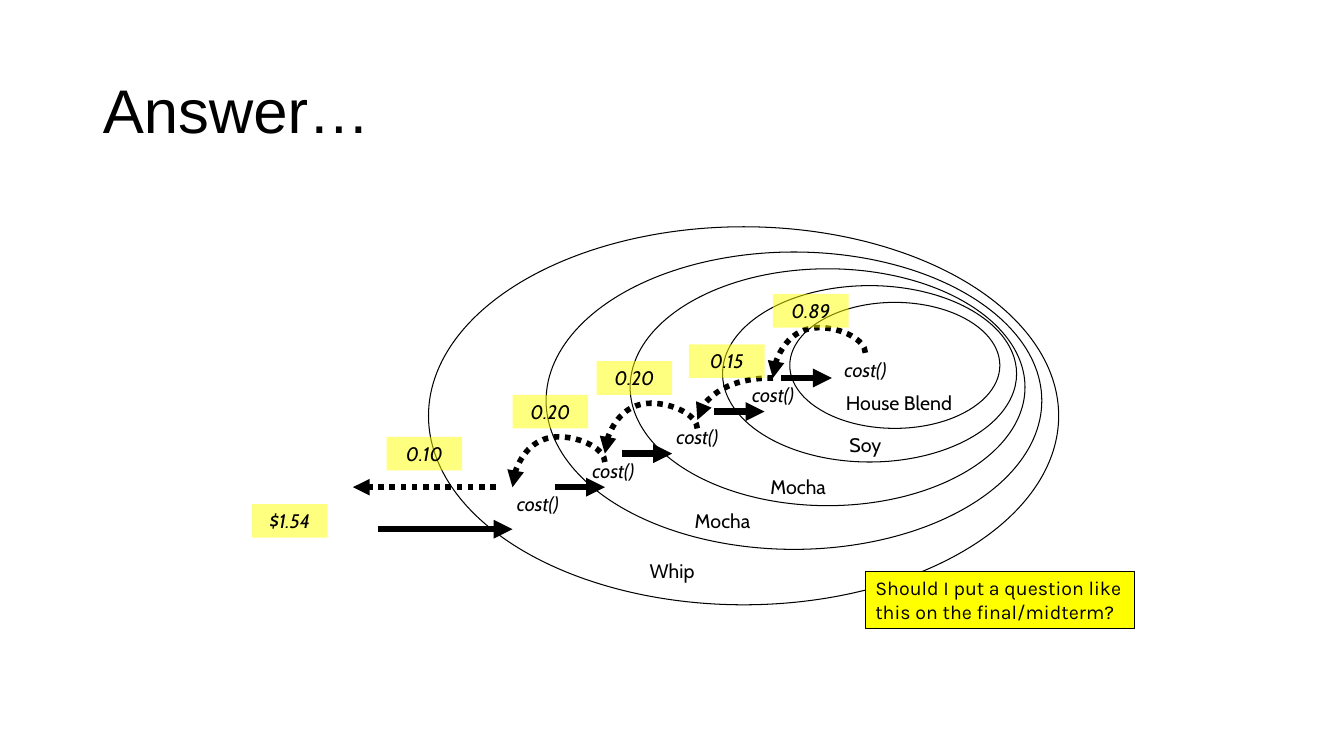
from lxml import etree
from pptx import Presentation
from pptx import util as u
from pptx.dml.color import RGBColor
from pptx.enum import dml, shapes, text
from pptx.oxml.ns import qn

COLORS = {"ink": "000000", "yellow": "FFFF00"}
INK = RGBColor.from_string(COLORS["ink"])
YELLOW = RGBColor.from_string(COLORS["yellow"])

deck = Presentation()
deck.slide_width, deck.slide_height = u.Inches(13.33), u.Inches(7.5)
page = deck.slides.add_slide(deck.slide_layouts[5])
UNIT = u.Inches(1) / 12  # the drawing sits on a grid of 1/12 inch


def write(box, words, font="Cabin", italic=False, align=text.PP_ALIGN.CENTER):
    frame = box.text_frame
    frame.word_wrap = True
    frame.vertical_anchor = text.MSO_ANCHOR.TOP
    para = frame.paragraphs[0]
    para.text = words
    para.alignment = align
    para.font.name, para.font.size, para.font.italic = font, u.Pt(14), italic
    para.font.color.rgb = INK


def arrow(kind, *ends, dotted=False):
    line = page.shapes.add_connector(kind, *(round(end * UNIT) for end in ends))
    line.line.color.rgb = INK
    line.line.width = u.Pt(4 if dotted else 4.5)
    if dotted:
        line.line.dash_style = dml.MSO_LINE.ROUND_DOT
    properties = line._element.spPr
    etree.SubElement(properties.find(qn("a:ln")), qn("a:tailEnd"), type="triangle")
    etree.SubElement(properties, qn("a:effectLst"))
    return properties


# Title
title = page.shapes.title
title.left, title.top, title.width, title.height = map(u.Inches, (0.92, 0.4, 11.5, 1.45))
title.text_frame.text = "Answer…"
title.text_frame.vertical_anchor = text.MSO_ANCHOR.MIDDLE
heading = title.text_frame.paragraphs[0]
heading.alignment, heading.line_spacing = text.PP_ALIGN.LEFT, 0.9
heading.font.name, heading.font.size = "Arial", u.Pt(44)
heading.font.color.rgb = INK

# Nested drinks: ellipse left, top, width (height is 0.6 of it), then label left, top
drinks = [
    ("House Blend", 94, 36, 25, 98, 46),
    ("Soy", 86, 34, 35, 94, 51),
    ("Mocha", 75, 32, 47, 86, 56),
    ("Mocha", 65, 30, 59, 77, 60),
    ("Whip", 51, 27, 75, 71, 66),
]
for name, left, top, width, label_left, label_top in drinks:
    ring = page.shapes.add_shape(
        shapes.MSO_SHAPE.OVAL,
        *(round(n * UNIT) for n in (left, top, width, width * 0.6)))
    ring.shadow.inherit = False
    ring.fill.background()
    ring.line.color.rgb, ring.line.width = INK, u.Pt(0.75)
    label = page.shapes.add_textbox(
        *(round(n * UNIT) for n in (label_left, label_top, 18, 4)))
    write(label, name)

# Calls going inwards
for left, top in [(59, 58), (68, 54), (78, 50), (87, 45), (98, 42)]:
    call = page.shapes.add_textbox(*(round(n * UNIT) for n in (left, top, 10, 4)))
    write(call, "cost()", italic=True)
for left, top, length in [(45, 63, 16), (66, 58, 6), (74, 54, 6), (85, 49, 6), (93, 45, 6)]:
    arrow(shapes.MSO_CONNECTOR.STRAIGHT, left, top, left + length, top)

# Results coming back: arcs 11 wide and 3 high, turned a quarter to bulge upwards
for start_x, start_y in [(103, 42), (83, 51), (72, 55)]:
    middle_x, middle_y = start_x - 5.5, start_y + 1.5
    arc = arrow(shapes.MSO_CONNECTOR.CURVE, middle_x + 1.5, middle_y + 5.5,
                middle_x - 1.5, middle_y - 5.5, dotted=True)
    arc.find(qn("a:xfrm")).set("rot", str(270 * 60000))
    guides = arc.find(qn("a:prstGeom")).find(qn("a:avLst"))
    etree.SubElement(guides, qn("a:gd"), name="adj1", fmla="val -100000")

bend = arrow(shapes.MSO_CONNECTOR.CURVE, 83, 50, 92, 45, dotted=True)
bend.find(qn("a:xfrm")).set("rot", str(180 * 60000))
bend.find(qn("a:prstGeom")).set("prst", "curvedConnector2")
arrow(shapes.MSO_CONNECTOR.STRAIGHT, 59, 58, 42, 58, dotted=True)

# Price tags, half transparent
prices = [("0.89", 92, 35), ("0.15", 82, 41), ("0.20", 71, 43),
          ("0.20", 61, 47), ("0.10", 46, 52), ("$1.54", 30, 60)]
for price, left, top in prices:
    tag = page.shapes.add_shape(
        shapes.MSO_SHAPE.RECTANGLE, *(round(n * UNIT) for n in (left, top, 9, 4)))
    tag.shadow.inherit = False
    tag.fill.solid()
    tag.fill.fore_color.rgb = YELLOW
    shade = tag._element.spPr.find(qn("a:solidFill"))[0]
    etree.SubElement(shade, qn("a:alpha"), val="50000")
    tag.line.fill.background()
    write(tag, price, italic=True)

# Question to the class
note = page.shapes.add_shape(
    shapes.MSO_SHAPE.RECTANGLE, *(round(n * UNIT) for n in (103, 68, 32, 6.84)))
note.shadow.inherit = False
note.fill.solid()
note.fill.fore_color.rgb = YELLOW
note.line.color.rgb, note.line.width = INK, u.Pt(0.75)
write(note, "Should I put a question like this on the final/midterm?",
      font="Karla", align=text.PP_ALIGN.LEFT)

deck.save("out.pptx")
